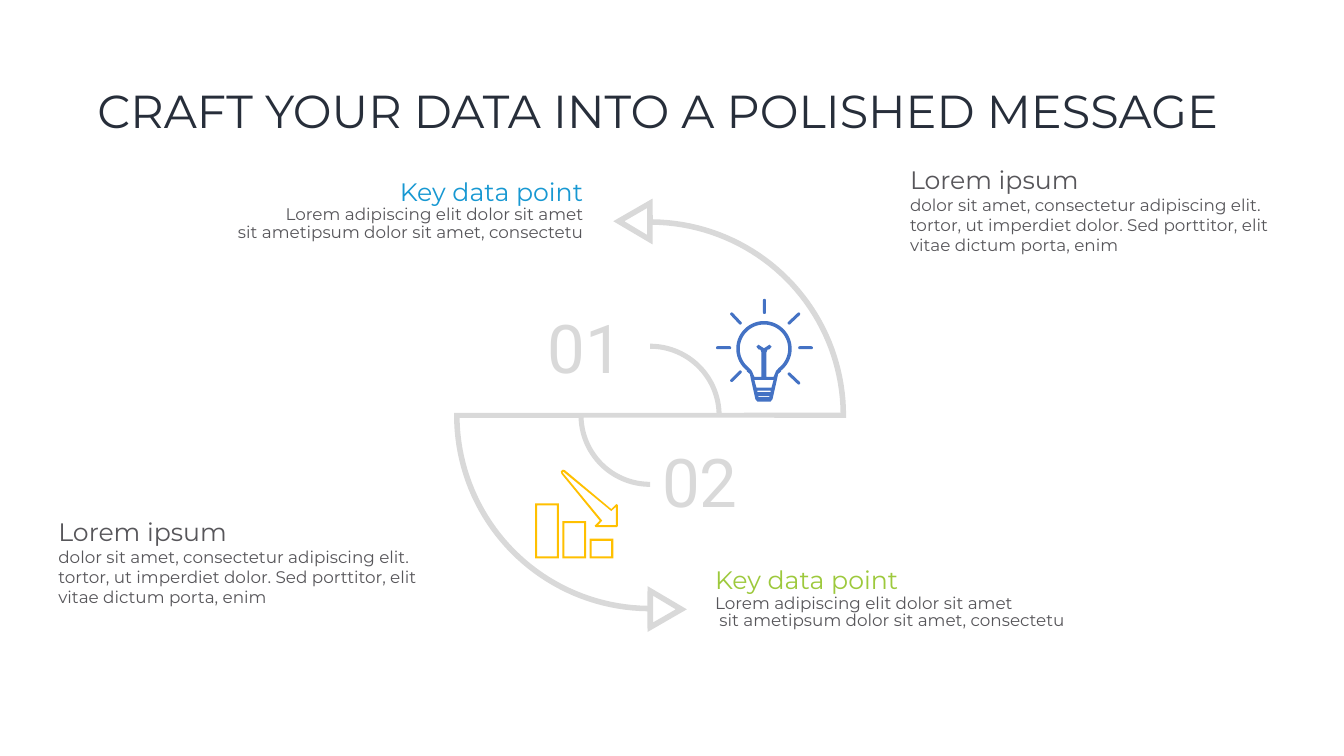
from dataclasses import dataclass
from math import atan2, cos, pi, radians, sin

from pptx import Presentation
from pptx.dml.color import RGBColor
from pptx.enum.text import MSO_ANCHOR, MSO_AUTO_SIZE, PP_ALIGN
from pptx.util import Inches, Pt

INK, TEXT, GREY = "272E3A", "57565A", "D9D9D9"
BLUE, GREEN, YELLOW, BULB_BLUE = "1798D2", "9DC93C", "FFC000", "4472C4"
SANS, DIGITS = "Montserrat", "Roboto"

Point = tuple[float, float]
Contour = list[Point]


@dataclass
class Run:
    text: str
    size: float
    color: str
    font: str = SANS


@dataclass
class Para:
    runs: list[Run]
    spacing: float | None = None


@dataclass
class TextBlock:
    left: float
    top: float
    width: float
    height: float
    paras: list[Para]
    align: PP_ALIGN = PP_ALIGN.LEFT
    margins: tuple[float, float, float, float] = (0.1, 0.05, 0.1, 0.05)


@dataclass
class Ray:
    x1: float
    y1: float
    x2: float
    y2: float


def rgb(color: str) -> RGBColor:
    return RGBColor.from_string(color)


def fill_para(p, para: Para, align: PP_ALIGN) -> None:
    for name, value in {"alignment": align, "line_spacing": para.spacing}.items():
        setattr(p, name, value)
    for i, run in enumerate(para.runs):
        if i:
            p.add_line_break()
        r = p.add_run()
        r.text = run.text
        for name, value in {"name": run.font, "size": Pt(run.size)}.items():
            setattr(r.font, name, value)
        r.font.color.rgb = rgb(run.color)


def draw_text(shapes, block: TextBlock) -> None:
    box = (block.left, block.top, block.width, block.height)
    tf = shapes.add_textbox(*map(Inches, box)).text_frame
    left, top, right, bottom = map(Inches, block.margins)
    fmt = {
        "word_wrap": True,
        "auto_size": MSO_AUTO_SIZE.SHAPE_TO_FIT_TEXT,
        "margin_left": left,
        "margin_top": top,
        "margin_right": right,
        "margin_bottom": bottom,
    }
    for name, value in fmt.items():
        setattr(tf, name, value)
    for i, para in enumerate(block.paras):
        p = tf.add_paragraph() if i else tf.paragraphs[0]
        fill_para(p, para, block.align)


def draw_outline(shapes, contours: list[Contour], color: str) -> None:
    emu = [[(Inches(x), Inches(y)) for x, y in c] for c in contours]
    fb = shapes.build_freeform(*emu[0][0])
    for i, points in enumerate(emu):
        if i:
            fb.move_to(*points[0])
        fb.add_line_segments(points[1:], close=True)
    sp = fb.convert_to_shape()
    sp.shadow.inherit = False
    sp.fill.solid()
    sp.fill.fore_color.rgb = rgb(color)
    sp.line.fill.background()


def arc(cx: float, cy: float, r: float, start: float, end: float, steps: int = 40) -> Contour:
    angles = [radians(start + (end - start) * i / steps) for i in range(steps + 1)]
    return [(cx + r * cos(a), cy - r * sin(a)) for a in angles]


def rect(x: float, y: float, w: float, h: float) -> Contour:
    return [(x, y), (x + w, y), (x + w, y + h), (x, y + h)]


def half_turn(points: Contour, cx: float, cy: float) -> Contour:
    return [(2 * cx - x, 2 * cy - y) for x, y in points]


def mirrored(points: Contour, cx: float) -> Contour:
    return points + [(2 * cx - x, y) for x, y in reversed(points)]


def capsule(ray: Ray, r: float = 0.03) -> Contour:
    angle = atan2(ray.y1 - ray.y2, ray.x2 - ray.x1) * 180 / pi
    return (arc(ray.x2, ray.y2, r, angle - 90, angle + 90, 8)
            + arc(ray.x1, ray.y1, r, angle + 90, angle + 270, 8))


def draw_swirl(shapes) -> None:
    cx, cy = 12.9, 8.24
    half = [
        *arc(cx, cy, 3.89, 0, 89.2),
        (12.95, 3.94), (12.17, 4.39), (12.95, 4.85),
        *arc(cx, cy, 3.78, 89.2, 0.8),
        *arc(cx, cy, 1.42, 2, 90),
        *arc(cx, cy, 1.32, 90, 2),
        (9.01, 8.19),
    ]
    head = [(12.84, 4.66), (12.39, 4.39), (12.84, 4.13)]
    draw_outline(shapes, [half + half_turn(half, cx, cy), head, half_turn(head, cx, cy)], GREY)


def draw_falling_chart(shapes) -> None:
    bottom, bar, edge = 11.08, 0.47, 0.04
    contours = []
    for i in range(3):
        x, y = 10.62 + 0.54 * i, 9.99 + 0.35 * i
        contours.append(rect(x, y, bar, bottom - y))
        contours.append(rect(x + edge, y + edge, bar - 2 * edge, bottom - y - 2 * edge))
    contours.append([
        (11.82, 10.46), (11.8, 10.43), (11.9, 10.33), (11.14, 9.4), (11.13, 9.35), (11.17, 9.32),
        (11.21, 9.33), (12.13, 10.1), (12.23, 10), (12.26, 10.02), (12.26, 10.44), (12.24, 10.46),
    ])
    contours.append([
        (11.87, 10.42), (12.22, 10.42), (12.22, 10.06), (12.13, 10.14),
        (11.18, 9.36), (11.16, 9.37), (11.95, 10.33),
    ])
    draw_outline(shapes, contours, YELLOW)


def draw_bulb(shapes) -> None:
    cx, cy = 15.16, 6.92
    glass = [*arc(cx, cy, 0.55, 90, -52), (15.5, 7.37), (15.44, 7.42), (15.42, 7.52),
             (15.33, 7.92), (15.29, 7.97)]
    inside = [*arc(cx, cy, 0.48, 90, -52), (15.4, 7.36), (15.35, 7.48), (15.21, 7.48),
              (15.21, 6.99), (15.23, 6.94), (15.27, 6.93), (15.31, 6.88), (15.27, 6.84), (cx, 6.91)]
    slots = [[(15.35, 7.54), (15.31, 7.69)], [(15.29, 7.75), (15.29, 7.78)],
             [(15.27, 7.86), (15.27, 7.88)]]
    rays = [
        Ray(15.17, 5.96, 15.17, 6.2), Ray(14.52, 6.23, 14.69, 6.41),
        Ray(14.24, 6.9, 14.48, 6.9), Ray(14.52, 7.55, 14.69, 7.38),
        Ray(15.66, 7.42, 15.85, 7.6), Ray(15.87, 6.9, 16.1, 6.9),
        Ray(15.85, 6.23, 15.66, 6.41),
    ]
    group = shapes.add_group_shape().shapes
    draw_outline(group, [mirrored(c, cx) for c in (glass, inside, *slots)], BULB_BLUE)
    for ray in rays:
        draw_outline(group, [capsule(ray)], BULB_BLUE)


def key_point(left: float, top: float, color: str, align: PP_ALIGN) -> TextBlock:
    details = ("Lorem adipiscing elit dolor sit amet", " sit ametipsum dolor sit amet, consectetu")
    paras = [Para([Run("Key data point", 36, color)])]
    paras += [Para([Run(text, 24, TEXT)], 0.89) for text in details]
    return TextBlock(left, top, 9.63, 1.51, paras, align, (0.53, 0.05, 0.53, 0.13))


def number(left: float, top: float, text: str) -> TextBlock:
    return TextBlock(left, top, 2.14, 1.72, [Para([Run(text, 96, GREY, DIGITS)])])


def note(left: float, top: float) -> TextBlock:
    body = ("dolor sit amet, consectetur adipiscing elit. tortor, ut imperdiet dolor. "
            "Sed porttitor, elit vitae dictum porta, enim")
    runs = [Run("Lorem ipsum", 36, TEXT), Run(body, 24, TEXT)]
    return TextBlock(left, top, 7.7, 1.99, [Para(runs)])


def draw_title(s) -> None:
    sp = s.shapes.title
    box = {"left": 1.83, "top": 0.8, "width": 23, "height": 2.9}
    for name, value in box.items():
        setattr(sp, name, Inches(value))
    tf = sp.text_frame
    fmt = {"word_wrap": True, "auto_size": MSO_AUTO_SIZE.NONE, "vertical_anchor": MSO_ANCHOR.MIDDLE}
    for name, value in fmt.items():
        setattr(tf, name, value)
    run = Run("CRAFT YOUR DATA INTO A POLISHED MESSAGE", 66, INK)
    fill_para(tf.paragraphs[0], Para([run], 0.9), PP_ALIGN.LEFT)


def main() -> None:
    prs = Presentation()
    prs.slide_width, prs.slide_height = Inches(26.67), Inches(15)
    s = prs.slides.add_slide(prs.slide_layouts[5])
    draw_title(s)
    for draw in (draw_swirl, draw_falling_chart, draw_bulb):
        draw(s.shapes)
    blocks = [
        key_point(2.47, 3.44, BLUE, PP_ALIGN.RIGHT), key_point(13.66, 11.15, GREEN, PP_ALIGN.LEFT),
        number(10.77, 6.03, "01"), number(13.04, 8.68, "02"),
        note(1.06, 10.2), note(17.96, 3.21),
    ]
    for block in blocks:
        draw_text(s.shapes, block)
    prs.save("out.pptx")


if __name__ == "__main__":
    main()
